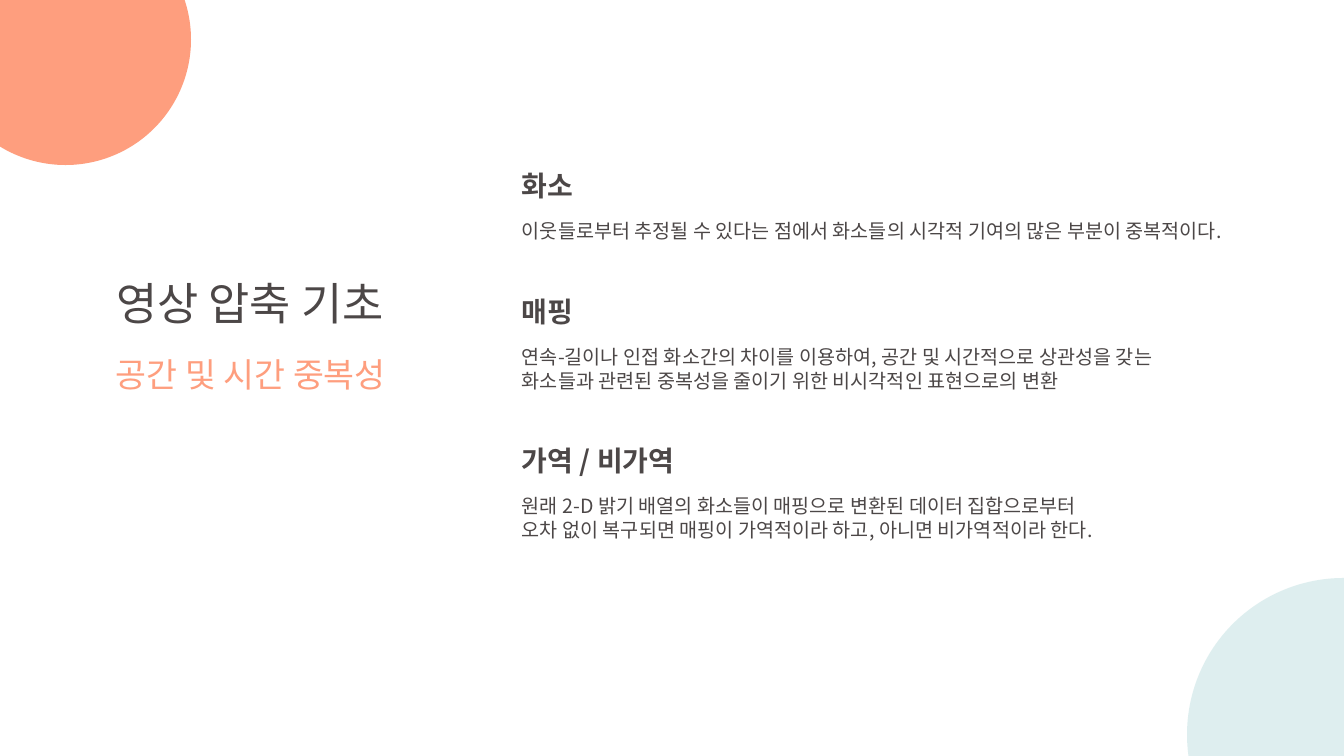
from lxml import etree
from pptx import Presentation
from pptx import util as u
from pptx.dml.color import RGBColor
from pptx.enum import shapes, text
from pptx.oxml.ns import qn

INK, CORAL, MINT = "4C4747", "FE9E7E", "C8E4E5"
SECTION_LEFT, BODY_DROP = 512, 50
SECTIONS = [
    (164, 77, "화소", 801, 34,
     ["이웃들로부터 추정될 수 있다는 점에서 화소들의 시각적 기여의 많은 부분이 중복적이다."]),
    (290, 77, "매핑", 728, 57,
     ["연속-길이나 인접 화소간의 차이를 이용하여, 공간 및 시간적으로 상관성을 갖는",
      "화소들과 관련된 중복성을 줄이기 위한 비시각적인 표현으로의 변환"]),
    (439, 194, "가역 / 비가역", 654, 57,
     ["원래 2-D 밝기 배열의 화소들이 매핑으로 변환된 데이터 집합으로부터",
      "오차 없이 복구되면 매핑이 가역적이라 하고, 아니면 비가역적이라 한다."]),
]


def px(length):
    """Turn pixels into EMU."""
    return u.Emu(round(length * 914400 / 100.8))


def rgb(color):
    """Turn a hex string into a colour."""
    return RGBColor.from_string(color)


def add_alpha(fill_element, percent):
    """Set the opacity of a solid fill."""
    etree.SubElement(fill_element[0], qn("a:alpha"), val=str(percent * 1000))


class SlideBuilder:
    """Holds the style and the current slide."""

    def __init__(self, page, face):
        """Keep the page and its typeface."""
        self.page = page
        self.face = face

    def circle(self, left, top, size, color, opacity=100):
        """Add a plain circle."""
        disc = self.page.shapes.add_shape(
            shapes.MSO_SHAPE.OVAL, px(left), px(top), px(size), px(size))
        disc.shadow.inherit = False
        disc.fill.solid()
        disc.fill.fore_color.rgb = rgb(color)
        disc.line.fill.background()
        if opacity < 100:
            add_alpha(disc.fill._xPr.find(qn("a:solidFill")), opacity)

    def style(self, para, size, color, bold):
        """Format a paragraph and give its letters a faint outline."""
        para.alignment = text.PP_ALIGN.LEFT
        para.line_spacing = 1.0
        para.space_before = u.Pt(0)
        font = para.font
        font.size, font.bold, font.name = u.Pt(size), bold, self.face
        font.color.rgb = rgb(color)
        props = font._element
        etree.SubElement(props, qn("a:ea"), typeface=self.face)
        outline = etree.Element(qn("a:ln"), w=str(u.Pt(0.75)))
        fill = etree.SubElement(outline, qn("a:solidFill"))
        etree.SubElement(fill, qn("a:srgbClr"), val=color)
        add_alpha(fill, 20)
        props.insert(0, outline)

    def fill_text(self, box, lines, size, color, bold=False):
        """Write one paragraph per line into a box that fits its text."""
        frame = box.text_frame
        frame.word_wrap = False
        frame.auto_size = text.MSO_AUTO_SIZE.SHAPE_TO_FIT_TEXT
        frame.vertical_anchor = text.MSO_ANCHOR.TOP
        frame.text = "\n".join(lines)
        for para in frame.paragraphs:
            self.style(para, size, color, bold)

    def title(self, left, top, width, height, line, size, color):
        """Place and format the title placeholder."""
        box = self.page.shapes.title
        box.left, box.top, box.width, box.height = map(px, (left, top, width, height))
        self.fill_text(box, [line], size, color)

    def label(self, left, top, width, height, lines, size, color, bold=False):
        """Add a text box."""
        box = self.page.shapes.add_textbox(*map(px, (left, top, width, height)))
        self.fill_text(box, lines, size, color, bold)


def main():
    """Build and save the deck."""
    deck = Presentation()
    deck.slide_width, deck.slide_height = px(1344), px(756)
    page = deck.slides.add_slide(deck.slide_layouts.get_by_name("Title Only"))
    builder = SlideBuilder(page, "Noto Sans CJK KR")

    builder.circle(-60, -86, 251, CORAL)
    builder.circle(1187, 578, 313, MINT, opacity=60)
    builder.title(106, 271, 324, 64, "영상 압축 기초", 32, INK)
    builder.label(106, 349, 328, 50, ["공간 및 시간 중복성"], 24, CORAL)
    for top, heading_width, heading, body_width, body_height, lines in SECTIONS:
        builder.label(SECTION_LEFT, top, heading_width, 44, [heading], 20, INK, bold=True)
        builder.label(SECTION_LEFT, top + BODY_DROP, body_width, body_height, lines, 14, INK)

    deck.save("out.pptx")


if __name__ == "__main__":
    main()
